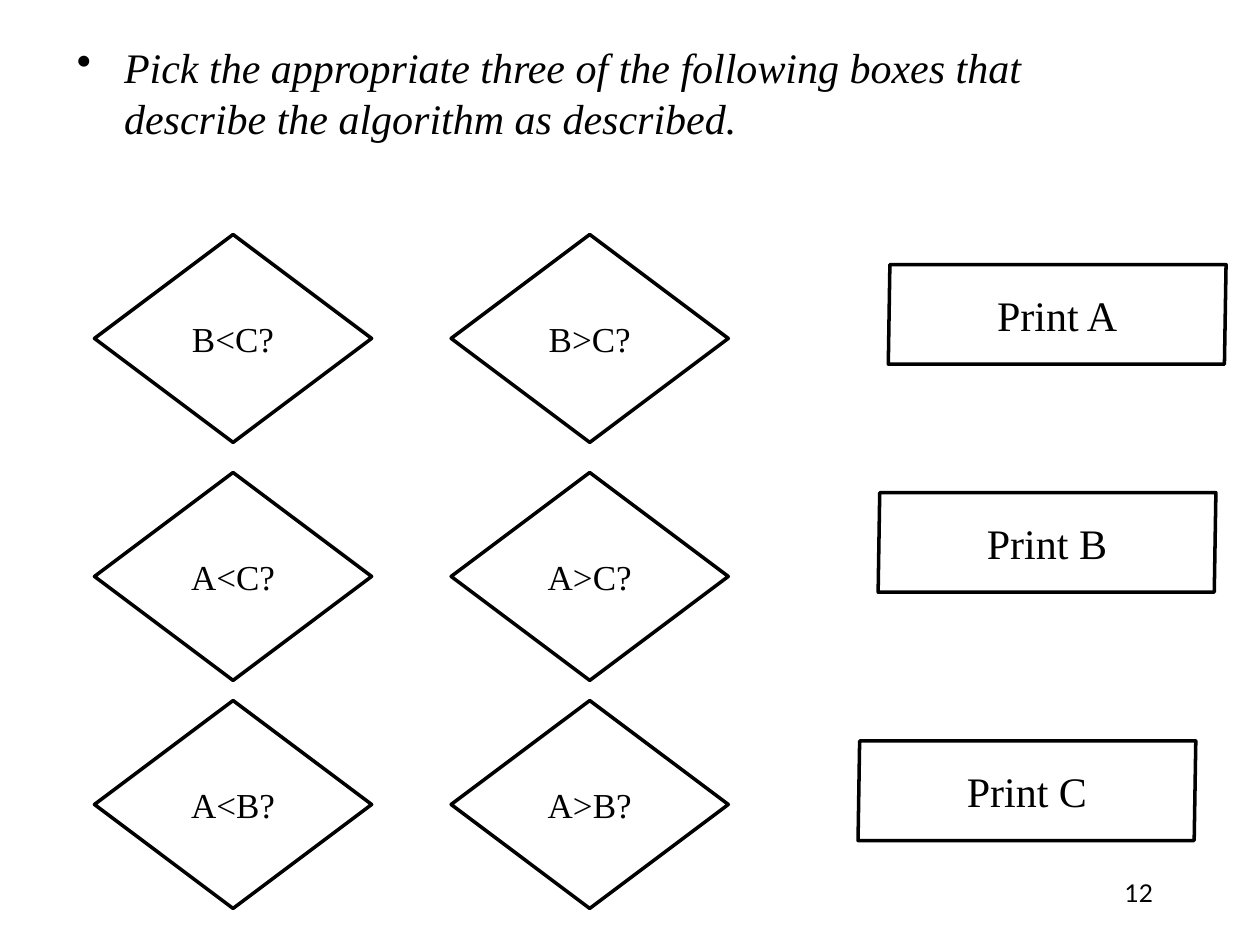
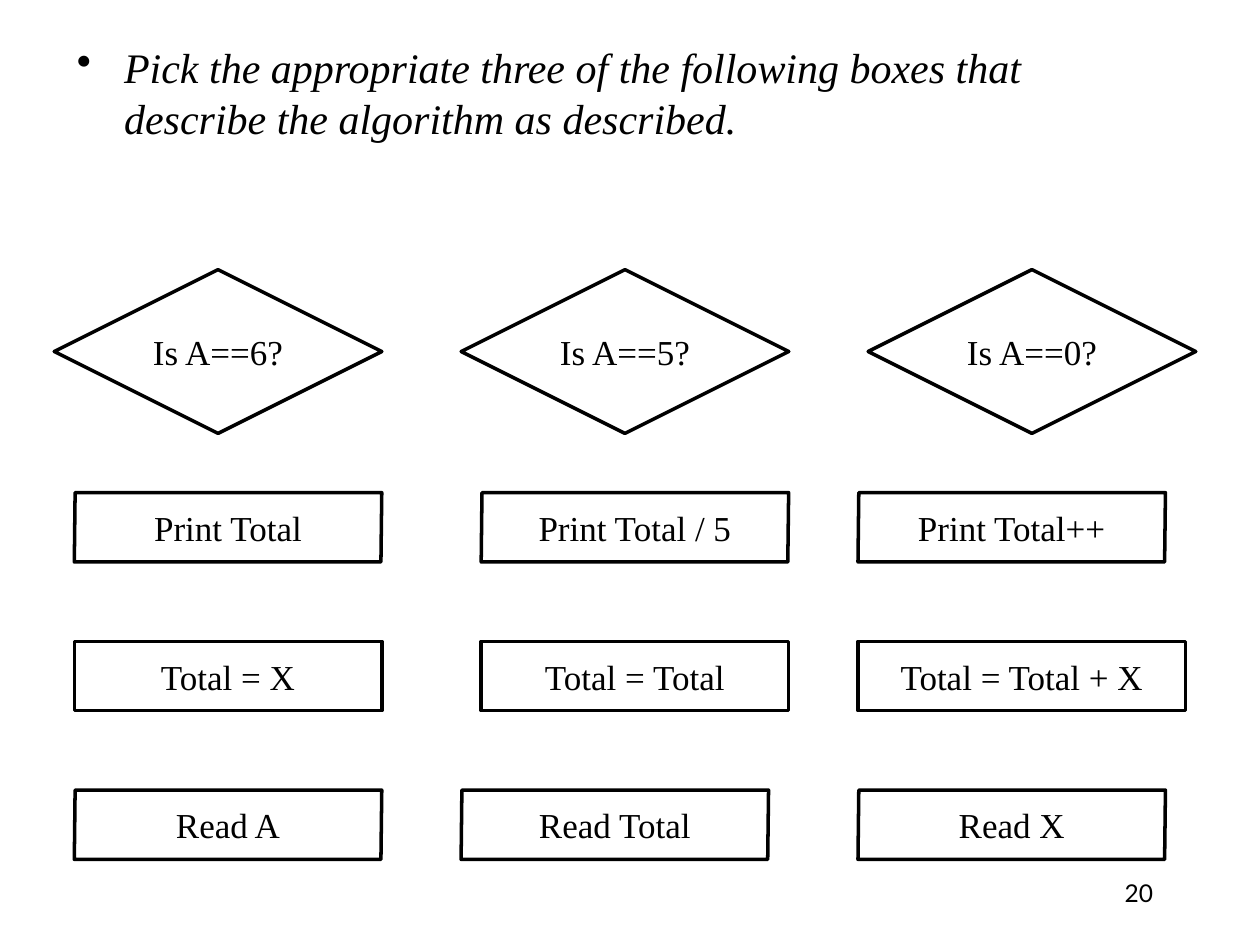
from lxml import etree
from pptx import Presentation
from pptx.dml.color import RGBColor
from pptx.enum.shapes import MSO_SHAPE
from pptx.enum.text import MSO_ANCHOR, MSO_AUTO_SIZE, PP_ALIGN
from pptx.oxml.ns import qn
from pptx.util import Pt

DIAMOND = MSO_SHAPE.DIAMOND
PARALLELOGRAM = MSO_SHAPE.PARALLELOGRAM
MIDDLE, TOP = MSO_ANCHOR.MIDDLE, MSO_ANCHOR.TOP
LEFT, CENTER, RIGHT = PP_ALIGN.LEFT, PP_ALIGN.CENTER, PP_ALIGN.RIGHT
NO_AUTOFIT = MSO_AUTO_SIZE.NONE

INK = "000000"
SERIF, SANS = "Times New Roman", "Lato"
PROMPT = ("Pick the appropriate three of the following boxes that "
          "describe the algorithm as described.")


def write(holder, wording, size, font, align, anchor):
    frame = holder.text_frame
    frame.word_wrap = True
    frame.auto_size = NO_AUTOFIT
    frame.vertical_anchor = anchor
    paragraph = frame.paragraphs[0]
    paragraph.text = wording
    paragraph.alignment = align
    paragraph.font.size = Pt(size)
    paragraph.font.name = font
    paragraph.font.color.rgb = RGBColor.from_string(INK)
    return paragraph


def add_box(slide, kind, wording, left, top, width, height, size=20, slant=0):
    box = slide.shapes.add_shape(kind, Pt(left), Pt(top), Pt(width), Pt(height))
    box.shadow.inherit = False
    box.fill.background()
    box.line.color.rgb = RGBColor.from_string(INK)
    box.line.width = Pt(2)
    if kind == PARALLELOGRAM:
        box.adjustments[0] = slant
    write(box, wording, size, SERIF, CENTER, MIDDLE)


deck = Presentation()
deck.slide_width, deck.slide_height = Pt(720), Pt(540)

exercises = []
for page_number in ("12", "20"):
    slide = deck.slides.add_slide(deck.slide_layouts[5])
    prompt = slide.shapes.title
    prompt.left, prompt.top = Pt(36.7), Pt(20.2)
    prompt.width, prompt.height = Pt(640.8), Pt(147.6)
    paragraph = write(prompt, PROMPT, 24, SERIF, LEFT, TOP)
    paragraph.font.italic = True
    paragraph.space_before = Pt(5)
    properties = paragraph._p.get_or_add_pPr()
    properties.set("marL", str(Pt(27)))
    properties.set("indent", str(Pt(-27)))
    bullet = etree.Element(qn("a:buChar"), char="•")
    properties.find(qn("a:spcBef")).addnext(bullet)

    footer = slide.shapes.add_textbox(Pt(516.2), Pt(498.2), Pt(149.8), Pt(30.2))
    write(footer, page_number, 14, SANS, RIGHT, TOP)
    exercises.append(slide)

smallest_of_three, running_total = exercises

comparison_rows = [
    (134, "B<C?", "B>C?", "Print A", 507.6, 151.2),
    (270, "A<C?", "A>C?", "Print B", 501.8, 281.5),
    (400.3, "A<B?", "A>B?", "Print C", 490.3, 423.4),
]
for top, less, greater, output, output_left, output_top in comparison_rows:
    for left, question in ((54, less), (257.8, greater)):
        add_box(smallest_of_three, DIAMOND, question, left, top, 158.4, 118.8)
    add_box(smallest_of_three, PARALLELOGRAM, output, output_left, output_top,
            193, 56.9, size=24, slant=0.016)

for column, question in enumerate(("Is A==6?", "Is A==5?", "Is A==0?")):
    add_box(running_total, DIAMOND, question, 31 + 232.56 * column, 154.1, 187.2, 93.6)

STEP_WIDTH, WIDE_STEP = 175.7, 187.2
step_rows = [
    (0.012, [("Print Total", 42.5, STEP_WIDTH), ("Print Total / 5", 275, STEP_WIDTH),
             ("Print Total++", 490.3, STEP_WIDTH)]),
    (0, [("Total = X", 42.5, STEP_WIDTH), ("Total = Total", 275, STEP_WIDTH),
         ("Total = Total + X", 490.3, WIDE_STEP)]),
    (0.012, [("Read A", 42.5, STEP_WIDTH), ("Read Total", 263.5, STEP_WIDTH),
             ("Read X", 490.3, STEP_WIDTH)]),
]
for row, (slant, steps) in enumerate(step_rows):
    for wording, left, width in steps:
        add_box(running_total, PARALLELOGRAM, wording, left, 281.5 + 85 * row,
                width, 39.6, slant=slant)

deck.save("out.pptx")
